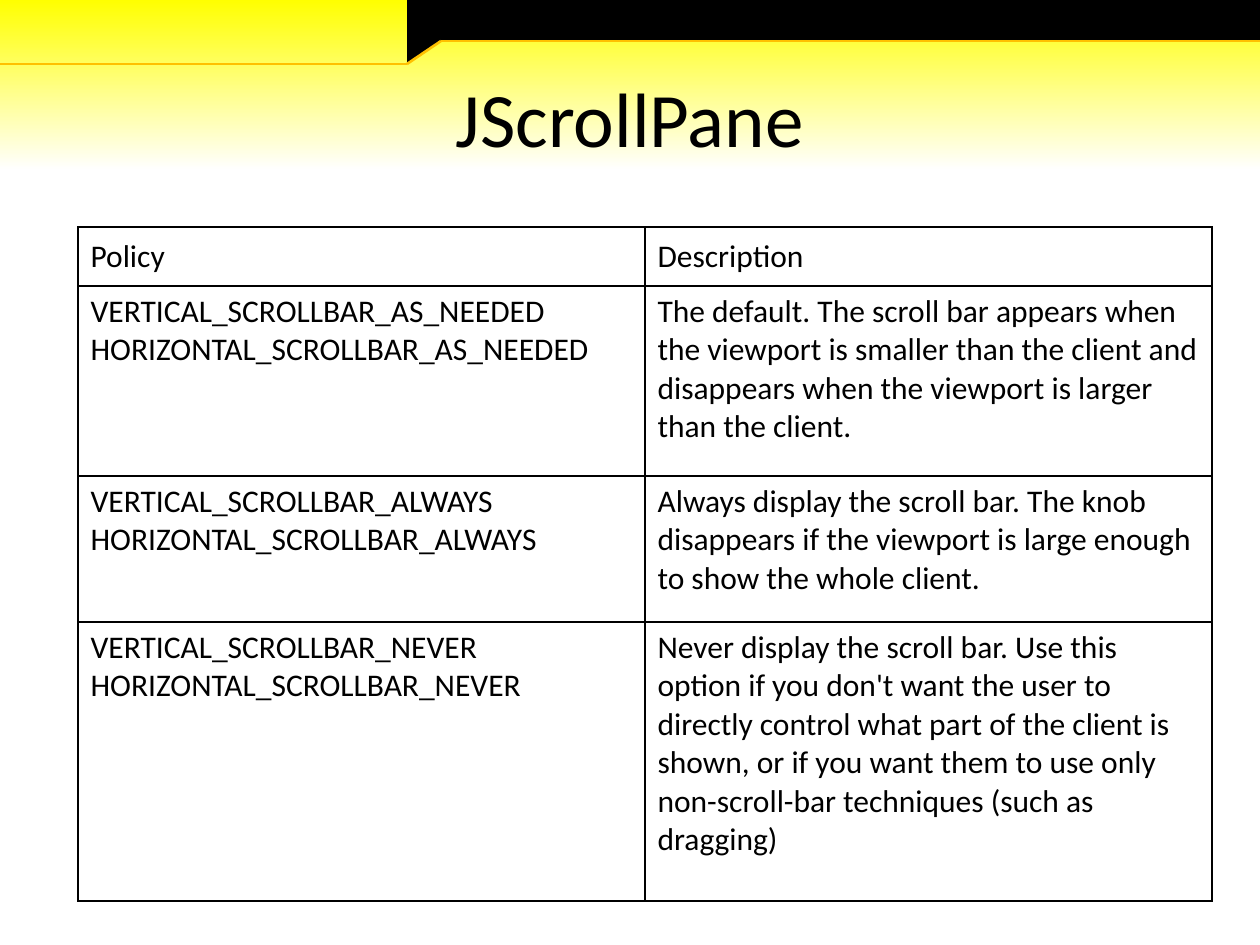
"""Build the JScrollPane policy slide."""
from dataclasses import dataclass

from lxml.etree import SubElement
from pptx import Presentation
from pptx.dml.color import RGBColor
from pptx.enum.shapes import MSO_CONNECTOR, MSO_SHAPE
from pptx.enum.text import MSO_ANCHOR, PP_ALIGN
from pptx.oxml import parse_xml
from pptx.oxml.ns import nsdecls, qn
from pptx.util import Pt

SCALE = 914400 / 126


def px(*sizes):
    return [round(size * SCALE) for size in sizes]


@dataclass(frozen=True)
class Theme:
    font: str = "Calibri"
    ink: str = "000000"
    glow: str = "FFFF00"
    paper: str = "FFFFFF"
    gold: str = "FFC000"
    head: int = 44
    body: int = 18
    rule: float = 1.5
    border: int = 1


class Page:
    def __init__(self, slide, theme):
        self.slide = slide
        self.theme = theme

    def style(self, para, size):
        font = para.font
        font.name = self.theme.font
        font.size = Pt(size)
        font.color.rgb = RGBColor.from_string(self.theme.ink)

    def backdrop(self, end):
        fill = self.slide.background.fill
        fill.gradient()
        fill.gradient_angle = 270
        looks = [(0, self.theme.glow), (end, self.theme.paper)]
        for stop, (place, color) in zip(fill.gradient_stops, looks):
            stop.position = place
            stop.color.rgb = RGBColor.from_string(color)

    def block(self, kind, *box):
        shape = self.slide.shapes.add_shape(kind, *px(*box))
        shape.shadow.inherit = False
        shape.fill.solid()
        shape.fill.fore_color.rgb = RGBColor.from_string(self.theme.ink)
        shape.line.fill.background()
        return shape

    def line(self, start, end):
        line = self.slide.shapes.add_connector(
            MSO_CONNECTOR.STRAIGHT, *px(*start, *end))
        line.line.color.rgb = RGBColor.from_string(self.theme.gold)
        line.line.width = Pt(self.theme.rule)
        SubElement(line._element.spPr, qn("a:effectLst"))

    def title(self, text, *box):
        shape = self.slide.shapes.title
        shape.left, shape.top, shape.width, shape.height = px(*box)
        frame = shape.text_frame
        frame.text = text
        frame.vertical_anchor = MSO_ANCHOR.MIDDLE
        para = frame.paragraphs[0]
        para.alignment = PP_ALIGN.CENTER
        self.style(para, self.theme.head)

    def edge(self, cell):
        props = cell._tc.get_or_add_tcPr()
        for side in "LRTB":
            props.append(parse_xml(
                f'<a:ln{side} {nsdecls("a")} w="{Pt(self.theme.border)}">'
                f'<a:solidFill><a:srgbClr val="{self.theme.ink}"/></a:solidFill>'
                f'</a:ln{side}>'))

    def table(self, rows, left, top, widths, heights):
        box = px(left, top, sum(widths), sum(heights))
        grid = self.slide.shapes.add_table(len(rows), len(widths), *box).table
        grid.first_row = grid.horz_banding = False
        for col, width in zip(grid.columns, px(*widths)):
            col.width = width
        for row, height in zip(grid.rows, px(*heights)):
            row.height = height
        for r, texts in enumerate(rows):
            for c, text in enumerate(texts):
                cell = grid.cell(r, c)
                cell.text = text
                cell.vertical_anchor = MSO_ANCHOR.TOP if r else MSO_ANCHOR.MIDDLE
                self.edge(cell)
                cell.fill.background()
                self.style(cell.text_frame.paragraphs[0], self.theme.body)


def policy(name):
    return f"VERTICAL_SCROLLBAR_{name}\vHORIZONTAL_SCROLLBAR_{name}"


ROWS = [
    ("Policy", "Description"),
    (policy("AS_NEEDED"),
     "The default. The scroll bar appears when the viewport is smaller than "
     "the client and disappears when the viewport is larger than the client."),
    (policy("ALWAYS"),
     "Always display the scroll bar. The knob disappears if the viewport is "
     "large enough to show the whole client."),
    (policy("NEVER"),
     "Never display the scroll bar. Use this option if you don't want the "
     "user to directly control what part of the client is shown, or if you "
     "want them to use only non-scroll-bar techniques (such as dragging)"),
]


def main():
    deck = Presentation()
    deck.slide_width, deck.slide_height = px(1260, 945)
    page = Page(deck.slides.add_slide(deck.slide_layouts[5]), Theme())
    page.backdrop(0.18)

    page.block(MSO_SHAPE.RECTANGLE, 407, 0, 853, 41)
    notch = page.block(MSO_SHAPE.ISOSCELES_TRIANGLE, 407, 41, 34, 23)
    notch.adjustments[0] = 1
    notch.rotation = 180
    bends = [(0, 64), (407, 64), (441, 41), (1260, 41)]
    for start, end in zip(bends, bends[1:]):
        page.line(start, end)

    page.title("JScrollPane", 63, 38, 1134, 158)
    page.table(ROWS, 78, 227, [567, 567], [59, 190, 146, 279])
    deck.save("out.pptx")


if __name__ == "__main__":
    main()
